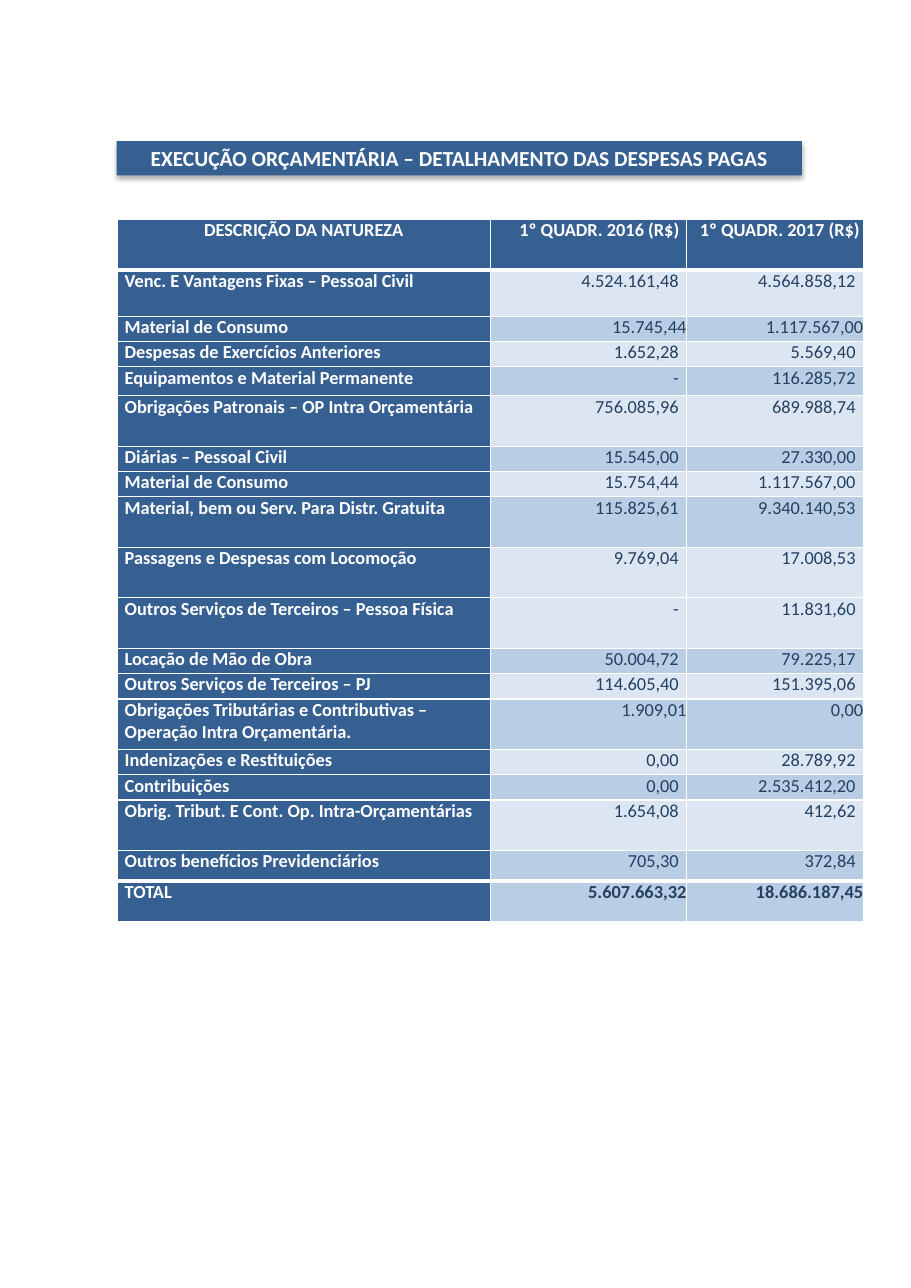
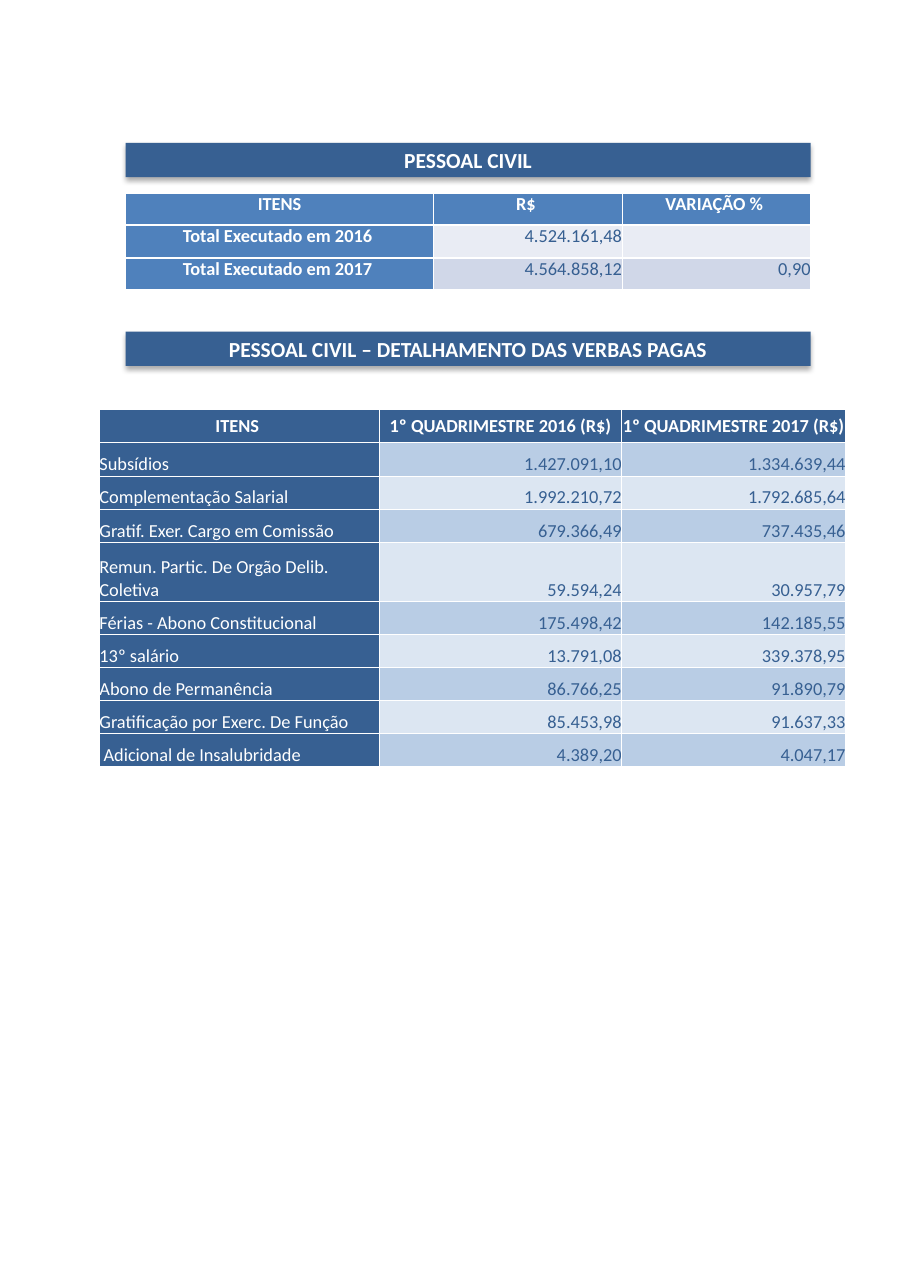
from lxml.etree import SubElement
from pptx import Presentation
from pptx.dml.color import RGBColor
from pptx.enum.shapes import MSO_SHAPE
from pptx.enum.text import MSO_ANCHOR, PP_ALIGN
from pptx.oxml.ns import qn
from pptx.util import Pt

WHITE = RGBColor(0xFF, 0xFF, 0xFF)
NAVY = RGBColor(0x37, 0x60, 0x92)
BLUE = RGBColor(0x4F, 0x81, 0xBC)
DEEP = RGBColor(0x25, 0x40, 0x61)
STEEL = RGBColor(0x36, 0x5F, 0x91)
PALE = RGBColor(0xDC, 0xE6, 0xF2)
SKY = RGBColor(0xB9, 0xCD, 0xE5)
MIST = RGBColor(0xE9, 0xEC, 0xF4)
HAZE = RGBColor(0xD0, 0xD7, 0xE8)


def put(frame, text, size=12, bold=False, color=WHITE, align=PP_ALIGN.LEFT,
        left=0, right=0):
    para = frame.paragraphs[0]
    para.alignment = align
    props = para._p.get_or_add_pPr()
    props.set("marL", str(int(Pt(left))))
    props.set("marR", str(int(Pt(right))))
    if not text:
        SubElement(para._p, qn("a:endParaRPr"), sz=str(size * 100))
        return
    run = para.add_run()
    run.text = text
    font = run.font
    font.name = "Calibri"
    font.size = Pt(size)
    font.bold = bold
    font.color.rgb = color


def edge(cell, **sides):
    props = cell._tc.get_or_add_tcPr()
    for at, side in enumerate("LRTB"):
        line = props.makeelement(qn(f"a:ln{side}"), {"w": str(int(Pt(sides[side])))})
        fill = SubElement(line, qn("a:solidFill"))
        SubElement(fill, qn("a:srgbClr"), val=str(WHITE))
        props.insert(at, line)


class Deck:
    def __init__(self):
        self.prs = Presentation()
        self.prs.slide_width = Pt(595.44)
        self.prs.slide_height = Pt(841.68)
        self.slide = None

    def page(self):
        self.slide = self.prs.slides.add_slide(self.prs.slide_layouts[6])

    def band(self, text, left, top):
        bar = self.slide.shapes.add_shape(
            MSO_SHAPE.RECTANGLE, Pt(left), Pt(top), Pt(447.8), Pt(22.4))
        bar.fill.solid()
        bar.fill.fore_color.rgb = NAVY
        bar.line.fill.background()
        bar.shadow.inherit = False
        glow = SubElement(
            bar._element.spPr.find(qn("a:effectLst")), qn("a:outerShdw"),
            blurRad=str(int(Pt(3.5))), dist=str(int(Pt(2.2))),
            dir="5400000", rotWithShape="0")
        tone = SubElement(glow, qn("a:srgbClr"), val="000000")
        SubElement(tone, qn("a:alpha"), val="32000")
        frame = bar.text_frame
        frame.word_wrap = True
        frame.margin_top = frame.margin_bottom = 0
        frame.vertical_anchor = MSO_ANCHOR.MIDDLE
        put(frame, text, size=14, bold=True, align=PP_ALIGN.CENTER)

    def grid(self, rows, left, top, cols, highs, fills, side=NAVY, ink=NAVY,
             line=1, rules=None, anchors=(MSO_ANCHOR.TOP, MSO_ANCHOR.TOP),
             label=None, heads=(0, 0, 0), pad=0, flush=(), strong=()):
        rules = rules or {}
        table = self.slide.shapes.add_table(
            len(rows), len(cols), Pt(left), Pt(top),
            Pt(sum(cols)), Pt(sum(highs))).table
        table.first_row = table.horz_banding = False
        for col, wide in zip(table.columns, cols):
            col.width = Pt(wide)
        for i, texts in enumerate(rows):
            table.rows[i].height = Pt(highs[i])
            for j, text in enumerate(texts):
                cell = table.cell(i, j)
                cell.margin_left = cell.margin_right = 0
                cell.margin_top = cell.margin_bottom = 0
                cell.vertical_anchor = anchors[i > 0]
                cell.fill.solid()
                cell.fill.fore_color.rgb = fills[i - 1] if i and j else side
                if i == 0:
                    look = dict(bold=True, align=PP_ALIGN.CENTER, left=heads[j])
                elif j == 0:
                    look = label or {}
                else:
                    look = dict(bold=i in strong, color=ink, align=PP_ALIGN.RIGHT,
                                right=0 if i in flush else pad)
                put(cell.text_frame, text, **look)
                edge(cell, L=line, R=line, T=rules.get(i, line),
                     B=rules.get(i + 1, line))


COSTS = [
    ("DESCRIÇÃO DA NATUREZA", "1º QUADR. 2016 (R$)", "1º QUADR. 2017 (R$)"),
    ("Venc. E Vantagens Fixas – Pessoal Civil", "4.524.161,48", "4.564.858,12"),
    ("Material de Consumo", "15.745,44", "1.117.567,00"),
    ("Despesas de Exercícios Anteriores", "1.652,28", "5.569,40"),
    ("Equipamentos e Material Permanente", "-", "116.285,72"),
    ("Obrigações Patronais – OP Intra Orçamentária", "756.085,96", "689.988,74"),
    ("Diárias – Pessoal Civil", "15.545,00", "27.330,00"),
    ("Material de Consumo", "15.754,44", "1.117.567,00"),
    ("Material, bem ou Serv. Para Distr. Gratuita", "115.825,61", "9.340.140,53"),
    ("Passagens e Despesas com Locomoção", "9.769,04", "17.008,53"),
    ("Outros Serviços de Terceiros – Pessoa Física", "-", "11.831,60"),
    ("Locação de Mão de Obra", "50.004,72", "79.225,17"),
    ("Outros Serviços de Terceiros – PJ", "114.605,40", "151.395,06"),
    ("Obrigações Tributárias e Contributivas – Operação Intra Orçamentária.",
     "1.909,01", "0,00"),
    ("Indenizações e Restituições", "0,00", "28.789,92"),
    ("Contribuições", "0,00", "2.535.412,20"),
    ("Obrig. Tribut. E Cont. Op. Intra-Orçamentárias", "1.654,08", "412,62"),
    ("Outros benefícios Previdenciários", "705,30", "372,84"),
    ("TOTAL", "5.607.663,32", "18.686.187,45"),
]

STAFF = [
    ("ITENS", "R$ ", "VARIAÇÃO % "),
    ("Total Executado em 2016 ", "4.524.161,48", ""),
    ("Total Executado em 2017 ", "4.564.858,12", "0,90"),
]

ITEMS = [
    ("ITENS ", "1º QUADRIMESTRE 2016 (R$)", "1º QUADRIMESTRE 2017 (R$)"),
    ("Subsídios", "1.427.091,10", "1.334.639,44"),
    ("Complementação Salarial", "1.992.210,72", "1.792.685,64"),
    ("Gratif. Exer. Cargo em Comissão", "679.366,49", "737.435,46"),
    ("Remun. Partic. De Orgão Delib. Coletiva", "59.594,24", "30.957,79"),
    ("Férias - Abono Constitucional", "175.498,42", "142.185,55"),
    ("13º salário", "13.791,08", "339.378,95"),
    ("Abono de Permanência", "86.766,25", "91.890,79"),
    ("Gratificação por Exerc. De Função", "85.453,98", "91.637,33"),
    (" Adicional de Insalubridade", "4.389,20", "4.047,17"),
]


def main():
    deck = Deck()

    deck.page()
    deck.band("EXECUÇÃO ORÇAMENTÁRIA – DETALHAMENTO DAS DESPESAS PAGAS", 76.3, 92.2)
    highs = [16.55] * len(COSTS)
    for row in (0, 5, 8, 9, 10, 13, 16):
        highs[row] = 33
    highs[1], highs[4], highs[17], highs[18] = 30.4, 18.9, 20, 26.7
    deck.grid(COSTS, 76.5, 143.3, (244, 128.2, 115.6), highs,
              [PALE, SKY] * 4 + [PALE] + [PALE, SKY] * 4 + [SKY],
              ink=DEEP, rules={1: 3, 18: 3}, label=dict(bold=True, left=5),
              heads=(0, 14.4, 6.5), pad=5, flush=(2, 13, 18), strong=(18,))

    deck.page()
    deck.band("PESSOAL CIVIL", 82.1, 93.4)
    deck.band("PESSOAL CIVIL – DETALHAMENTO DAS VERBAS PAGAS", 82.1, 216.7)
    deck.grid(STAFF, 82.1, 126.2, (201.4, 123.2, 123.2), (20.9, 21.6, 20.9),
              [MIST, HAZE], side=BLUE, ink=STEEL, rules={1: 1.5},
              label=dict(bold=True, align=PP_ALIGN.CENTER))
    highs = [21.6] * len(ITEMS)
    highs[4] = 38.6
    deck.grid(ITEMS, 65, 267.8, (183, 158.4, 146.3), highs,
              [SKY, PALE] * 4 + [SKY], line=0.5,
              anchors=(MSO_ANCHOR.MIDDLE, MSO_ANCHOR.BOTTOM))

    deck.prs.save("out.pptx")


if __name__ == "__main__":
    main()
